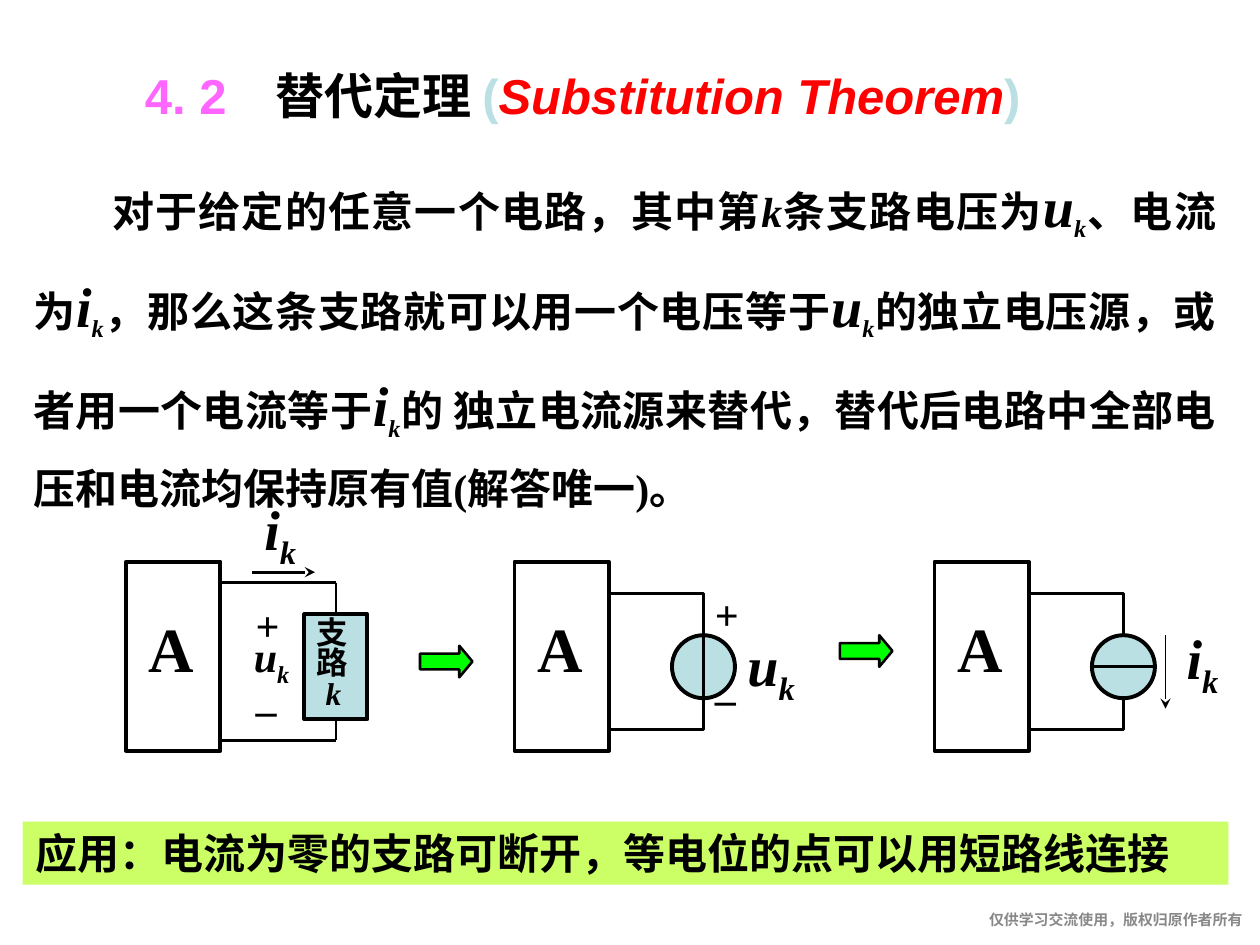
from dataclasses import dataclass

from lxml.etree import SubElement
from pptx import Presentation
from pptx.dml.color import RGBColor
from pptx.enum.shapes import MSO_CONNECTOR, MSO_SHAPE
from pptx.enum.text import MSO_ANCHOR, PP_ALIGN
from pptx.oxml.ns import qn
from pptx.util import Pt


@dataclass(frozen=True)
class Theme:
    ink: RGBColor = RGBColor.from_string("000000")
    number: RGBColor = RGBColor.from_string("FF66FF")
    english: RGBColor = RGBColor.from_string("FF0000")
    element: RGBColor = RGBColor.from_string("BBE0E3")
    arrow: RGBColor = RGBColor.from_string("00FF00")
    band: RGBColor = RGBColor.from_string("CCFF66")
    notice: RGBColor = RGBColor.from_string("888888")
    serif: str = "Times New Roman"
    sans: str = "Arial"
    network_size: float = 36
    symbol_size: float = 32
    title_size: float = 28
    body_size: float = 24
    branch_size: float = 18
    notice_size: float = 8.5
    outline: float = 2.25
    wire: float = 1.5
    thin: float = 0.75


THEME = Theme()


def style(paragraph, size, color=THEME.ink, name=THEME.serif, align=PP_ALIGN.LEFT):
    paragraph.alignment = align
    font = paragraph.font
    font.name, font.size, font.bold = name, Pt(size), True
    font.color.rgb = color


def add_run(paragraph, text, size=None, italic=None, color=None, subscript=False):
    run = paragraph.add_run()
    run.text = text
    if size:
        run.font.size = Pt(size)
    if italic:
        run.font.italic = True
    if color is not None:
        run.font.color.rgb = color
    if subscript:
        run.font._element.set("baseline", "-25000")


def add_symbol(paragraph, letter, index_size=None):
    """Adds an italic quantity with the subscript k."""
    add_run(paragraph, letter, THEME.symbol_size if index_size else None, italic=True)
    add_run(paragraph, "k", index_size, italic=True, subscript=True)


def text_frame(slide, left, top, width, height):
    frame = slide.shapes.add_textbox(Pt(left), Pt(top), Pt(width), Pt(height)).text_frame
    frame.word_wrap = True
    return frame


def label(slide, left, top, width, height, text, size):
    paragraph = text_frame(slide, left, top, width, height).paragraphs[0]
    style(paragraph, size)
    add_run(paragraph, text)


def symbol_label(slide, left, top, width, height, letter, size=THEME.symbol_size):
    paragraph = text_frame(slide, left, top, width, height).paragraphs[0]
    style(paragraph, size)
    add_symbol(paragraph, letter)


def shape(slide, kind, left, top, width, height, fill=None, line=None):
    item = slide.shapes.add_shape(kind, Pt(left), Pt(top), Pt(width), Pt(height))
    item.shadow.inherit = False
    if fill is None:
        item.fill.background()
    else:
        item.fill.solid()
        item.fill.fore_color.rgb = fill
    if line:
        item.line.color.rgb = THEME.ink
        item.line.width = Pt(line)
    else:
        item.line.fill.background()
    return item


def wire(slide, x1, y1, x2, y2, width=THEME.wire, arrow=False):
    line = slide.shapes.add_connector(MSO_CONNECTOR.STRAIGHT, Pt(x1), Pt(y1), Pt(x2), Pt(y2))
    line.line.color.rgb = THEME.ink
    line.line.width = Pt(width)
    if arrow:
        SubElement(line.line._get_or_add_ln(), qn("a:tailEnd"), type="stealth")
    SubElement(line._element.spPr, qn("a:effectLst"))
    return line


def network(slide, left, top):
    """Draws the block A."""
    shape(slide, MSO_SHAPE.RECTANGLE, left, top, 54, 108, line=THEME.outline)
    label(slide, left + 6, top + 24, 42, 50, "A", THEME.network_size)


def polarity(slide, left, top):
    for sign, drop in (("+", 0), ("–", 48)):
        label(slide, left, top + drop, 30, 36, sign, THEME.body_size)


def branch_circuit(slide, left, top):
    network(slide, left, top)
    branch = shape(slide, MSO_SHAPE.RECTANGLE, left + 102, top + 30, 36, 60,
                   THEME.element, THEME.outline)
    middle = left + 120
    for level, edge, site in ((12, 30, 0), (102, 90, 2)):
        wire(slide, left + 54, top + level, middle, top + level)
        drop = wire(slide, middle, top + level, middle, top + edge)
        drop.end_connect(branch, site)

    frame = text_frame(slide, left + 102, top + 30, 30, 59)
    for position, text in enumerate("支路k"):
        paragraph = frame.paragraphs[0] if position == 0 else frame.add_paragraph()
        if text == "k":
            paragraph._p.get_or_add_pPr().set("marL", str(Pt(5)))
        paragraph.line_spacing = 0.8
        style(paragraph, THEME.branch_size)
        add_run(paragraph, text, italic=text == "k")

    polarity(slide, left + 67, top + 18)
    symbol_label(slide, left + 66, top + 36, 43, 36, "u", THEME.body_size)
    wire(slide, left + 72, top + 6, left + 108, top + 6, arrow=True)
    symbol_label(slide, left + 72, top - 42, 42, 45, "i")


def source_circuit(slide, left, top):
    """Draws the block A closed by an empty source circle."""
    network(slide, left, top)
    shape(slide, MSO_SHAPE.RECTANGLE, left + 54, top + 18, 54, 78, line=THEME.wire)
    shape(slide, MSO_SHAPE.OVAL, left + 90, top + 42, 36, 36, THEME.element, THEME.outline)


def voltage_circuit(slide, left, top):
    source_circuit(slide, left, top)
    wire(slide, left + 108, top + 41, left + 108, top + 79)
    polarity(slide, left + 107.5, top + 12)
    symbol_label(slide, left + 126, top + 36, 43, 45, "u")


def current_circuit(slide, left, top):
    source_circuit(slide, left, top)
    wire(slide, left + 89, top + 60, left + 127, top + 60)
    wire(slide, left + 132, top + 42, left + 132, top + 84, THEME.thin, arrow=True)
    symbol_label(slide, left + 137, top + 32, 49, 45, "i")


def step_arrow(slide, left, top):
    arrow = shape(slide, MSO_SHAPE.RIGHT_ARROW, left, top, 30, 18, THEME.arrow, THEME.wire)
    arrow.adjustments[1] = 0.417


def heading(slide, left, top, width, height):
    title = slide.shapes.title
    title.left, title.top, title.width, title.height = map(Pt, (left, top, width, height))
    title.text_frame.vertical_anchor = MSO_ANCHOR.MIDDLE
    paragraph = title.text_frame.paragraphs[0]
    style(paragraph, THEME.title_size, name=THEME.sans, align=PP_ALIGN.CENTER)
    add_run(paragraph, "4. 2　", color=THEME.number)
    add_run(paragraph, "替代定理 ")
    add_run(paragraph, "(", color=THEME.element)
    add_run(paragraph, "Substitution Theorem", italic=True, color=THEME.english)
    add_run(paragraph, ")", color=THEME.element)


def theorem(slide, left, top, width, height):
    paragraph = text_frame(slide, left, top, width, height).paragraphs[0]
    paragraph._p.get_or_add_pPr().set("indent", str(Pt(45)))
    paragraph.line_spacing = 1.4
    style(paragraph, THEME.body_size, align=PP_ALIGN.JUSTIFY)
    add_run(paragraph, "对于给定的任意一个电路，其中第")
    add_run(paragraph, "k", italic=True)
    add_run(paragraph, "条支路电压为")
    for letter, text in (
        ("u", "、电流为"),
        ("i", "，那么这条支路就可以用一个电压等于"),
        ("u", "的独立电压源，或者用一个电流等于"),
        ("i", "的 独立电流源来替代，替代后电路中全部电压和电流均保持原有值(解答唯一)。"),
    ):
        add_symbol(paragraph, letter, THEME.body_size)
        add_run(paragraph, text)


def application(slide, left, top, width, height):
    band = shape(slide, MSO_SHAPE.RECTANGLE, left, top, width, height, THEME.band)
    paragraph = band.text_frame.paragraphs[0]
    style(paragraph, THEME.body_size)
    add_run(paragraph, "应用：电流为零的支路可断开，等电位的点可以用短路线连接")


def notice(slide, left, top, width, height):
    frame = text_frame(slide, left, top, width, height)
    frame.margin_left = frame.margin_top = frame.margin_right = frame.margin_bottom = 0
    style(frame.paragraphs[0], THEME.notice_size, THEME.notice, THEME.sans, PP_ALIGN.RIGHT)
    add_run(frame.paragraphs[0], "仅供学习交流使用，版权归原作者所有")


def main():
    deck = Presentation()
    deck.slide_width, deck.slide_height = Pt(720), Pt(540)
    slide = deck.slides.add_slide(deck.slide_layouts[5])
    heading(slide, 72, 30, 522, 48)
    theorem(slide, 12, 78, 690, 209)
    branch_circuit(slide, 72, 321)
    step_arrow(slide, 240, 369)
    voltage_circuit(slide, 294, 321)
    step_arrow(slide, 480, 363)
    current_circuit(slide, 534, 321)
    application(slide, 13, 469.5, 689, 36)
    notice(slide, 436, 520.5, 274, 16)
    deck.save("out.pptx")


if __name__ == "__main__":
    main()
